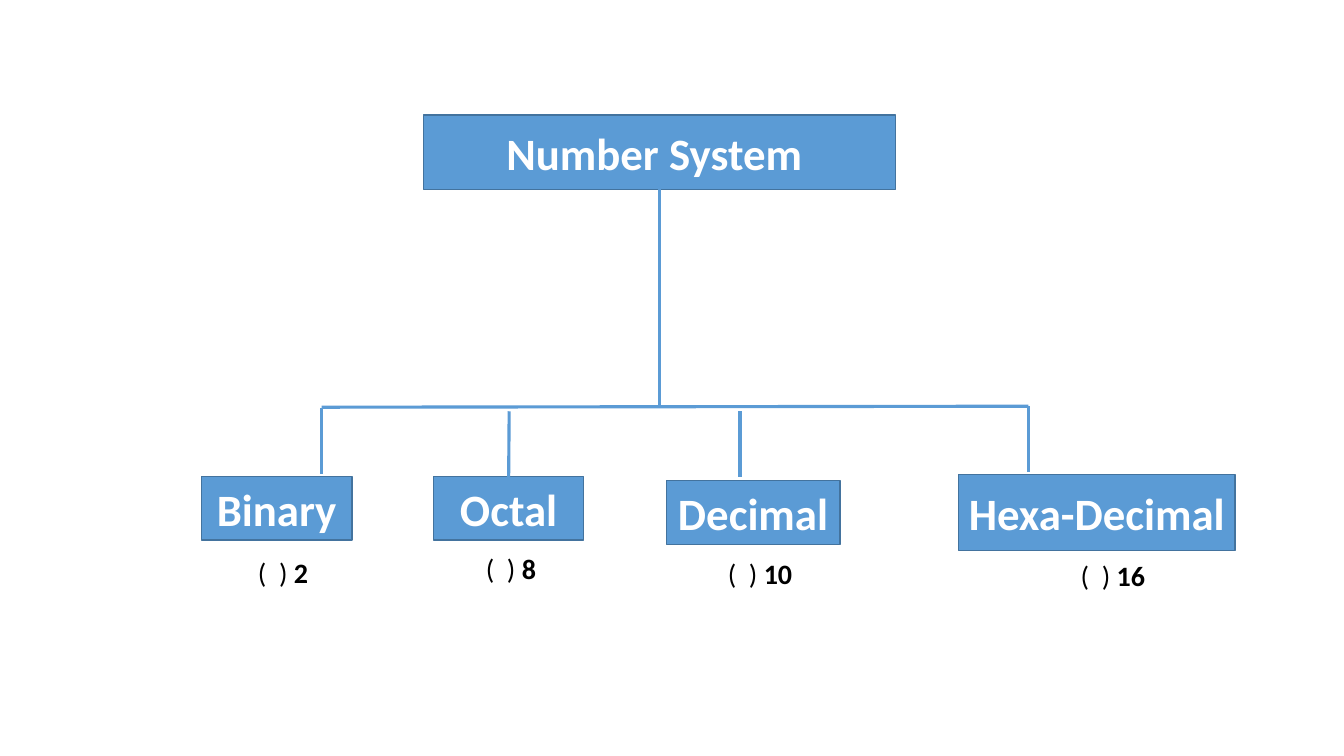
"""Build a slide with a tree of the four number systems and their bases."""
from dataclasses import dataclass

from pptx import Presentation
from pptx import util as u
from pptx.dml.color import RGBColor
from pptx.enum import shapes, text
from pptx.oxml import xmlchemy
from pptx.oxml.ns import qn
from pptx.shapes.autoshape import Shape
from pptx.shapes.connector import Connector
from pptx.slide import Slide
from pptx.text.text import Font

BLUE = RGBColor(0x5B, 0x9B, 0xD5)
DARK_BLUE = RGBColor(0x43, 0x73, 0x9E)
WHITE = RGBColor(0xFF, 0xFF, 0xFF)
BLACK = RGBColor(0, 0, 0)
TOP, BOTTOM = 0, 2
BRANCH_HEIGHT = 0.65


@dataclass(frozen=True)
class Node:
    label: str
    left: float
    top: float
    width: float
    height: float


@dataclass(frozen=True)
class System:
    node: Node
    base: str
    base_left: float
    base_top: float
    branch_x: float
    branch_top: float


ROOT = Node("Number System ", 4.2, 1.14, 4.68, 0.74)
OCTAL = System(Node("Octal", 4.3, 4.73, 1.49, 0.63), "8", 4.72, 5.42, 5.05, 4.08)
SYSTEMS = (
    System(Node("Binary", 2, 4.73, 1.49, 0.63), "2", 2.46, 5.46, 3.19, 4.05),
    OCTAL,
    System(Node("Decimal", 6.61, 4.77, 1.72, 0.63), "10", 7.12, 5.47, 7.34, 4.08),
    System(Node("Hexa-Decimal", 9.51, 4.71, 2.74, 0.75), "16", 10.62, 5.49, 10.2, 4.03),
)


def style(font: Font, size: int, color: RGBColor, bold: bool) -> None:
    font.name = "Calibri"
    font.size = u.Pt(size)
    font.bold = bold
    font.color.rgb = color


def draw_node(slide: Slide, node: Node) -> Shape:
    box = slide.shapes.add_shape(
        shapes.MSO_SHAPE.RECTANGLE,
        u.Inches(node.left), u.Inches(node.top),
        u.Inches(node.width), u.Inches(node.height),
    )
    box.shadow.inherit = False
    box.fill.solid()
    box.fill.fore_color.rgb = BLUE
    box.line.color.rgb = DARK_BLUE
    box.line.width = u.Pt(1)
    frame = box.text_frame
    frame.text = node.label
    frame.word_wrap = False
    frame.vertical_anchor = text.MSO_ANCHOR.MIDDLE
    label = frame.paragraphs[0]
    label.alignment = text.PP_ALIGN.CENTER
    style(label.runs[0].font, 32, WHITE, True)
    return box


def draw_line(slide: Slide, x1: float, y1: float, x2: float, y2: float) -> Connector:
    line = slide.shapes.add_connector(
        shapes.MSO_CONNECTOR.STRAIGHT,
        u.Inches(x1), u.Inches(y1), u.Inches(x2), u.Inches(y2),
    )
    line.line.color.rgb = BLUE
    line.line.width = u.Pt(2.25)
    line._element.spPr.append(xmlchemy.OxmlElement("a:effectLst"))
    return line


def draw_base(slide: Slide, system: System) -> None:
    box = slide.shapes.add_textbox(
        u.Inches(system.base_left), u.Inches(system.base_top),
        u.Inches(1.03), u.Inches(0.44),
    )
    frame = box.text_frame
    frame.word_wrap = True
    frame.auto_size = text.MSO_AUTO_SIZE.SHAPE_TO_FIT_TEXT
    for words, bold in (("(  ) ", False), (system.base, True)):
        run = frame.paragraphs[0].add_run()
        run.text = words
        style(run.font, 20, BLACK, bold)


def main() -> None:
    deck = Presentation()
    deck.slide_width = u.Inches(13.33)
    deck.slide_height = u.Inches(7.5)
    slide = deck.slides.add_slide(deck.slide_layouts.get_by_name("Blank"))

    root = draw_node(slide, ROOT)
    boxes = [draw_node(slide, system.node) for system in SYSTEMS]

    trunk = draw_line(slide, 6.52, 1.88, 6.54, 4.03)
    trunk.begin_connect(root, BOTTOM)
    draw_line(slide, SYSTEMS[0].branch_x, 4.04, SYSTEMS[-1].branch_x, 4.03)

    for system, box in zip(SYSTEMS, boxes):
        branch = draw_line(
            slide, system.branch_x, system.branch_top,
            system.branch_x, system.branch_top + BRANCH_HEIGHT,
        )
        if system is OCTAL:
            branch.end_connect(box, TOP)
    for system in SYSTEMS:
        draw_base(slide, system)

    deck.save("out.pptx")


if __name__ == "__main__":
    main()
